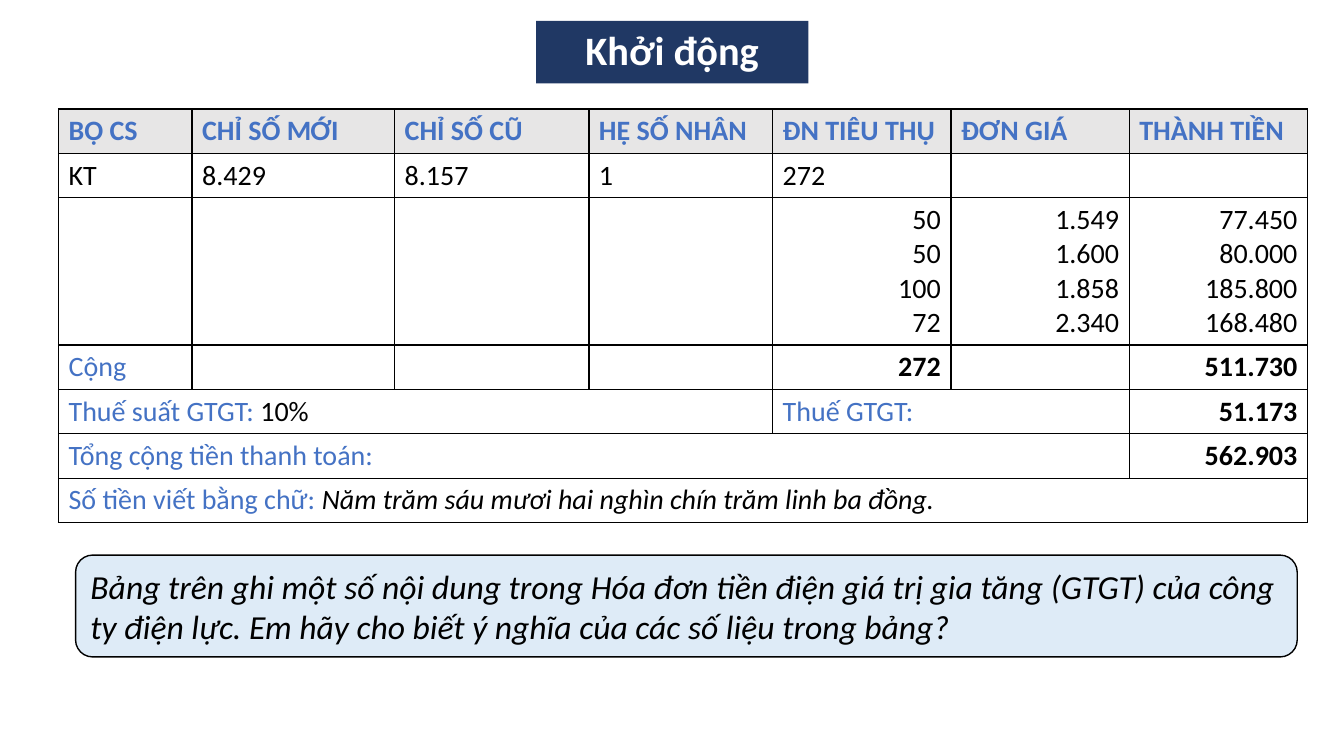
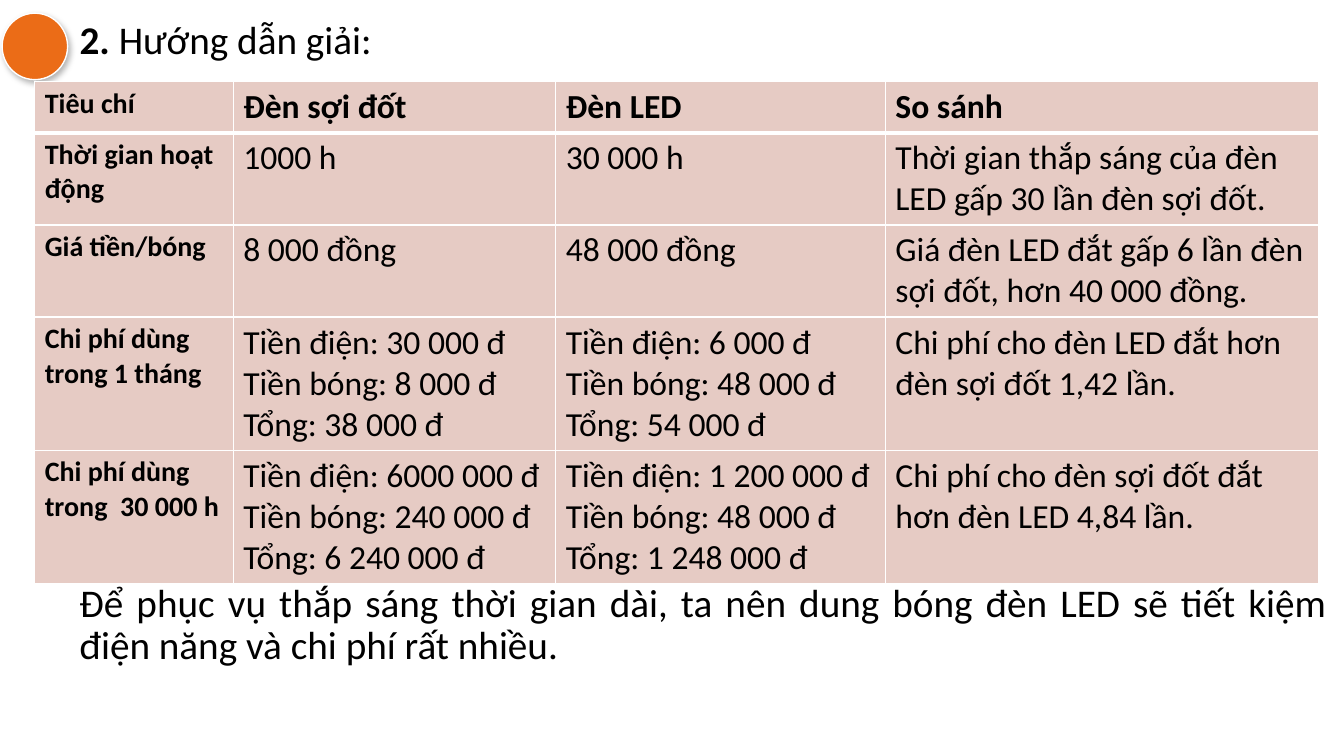
from lxml.etree import SubElement
from pptx import Presentation
from pptx.dml.color import RGBColor
from pptx.enum.shapes import MSO_SHAPE
from pptx.enum.text import MSO_ANCHOR, MSO_AUTO_SIZE, PP_ALIGN
from pptx.oxml import parse_xml
from pptx.oxml.ns import nsdecls, qn
from pptx.util import Pt

# Shared look
FONT = "Calibri"
BLACK, WHITE, BLUE, NAVY = "000000", "FFFFFF", "4472C4", "203864"
GREY, PALE_BLUE, PINK, ORANGE = "E7E6E6", "DEEBF7", "E6CBC4", "EB6C17"
PLAIN = {}
LABEL = dict(color=BLUE)
HEADING = dict(color=BLUE, bold=True)
FIGURES = dict(align=PP_ALIGN.RIGHT)
TOTAL = dict(bold=True, align=PP_ALIGN.RIGHT)
CRITERION = dict(size=20, bold=True)
LAMP = dict(size=24, bold=True)
DETAIL = dict(size=24)

color = RGBColor.from_string


def write(frame, *paragraphs, align=PP_ALIGN.LEFT, spacing=None, **style):
    """Fill a text frame; a paragraph is a string or a list of (text, format) spans."""
    frame.word_wrap = True
    for index, content in enumerate(paragraphs):
        para = frame.add_paragraph() if index else frame.paragraphs[0]
        para.alignment = align
        if spacing:
            para.line_spacing = spacing
        spans = [(content, PLAIN)] if isinstance(content, str) else content
        for text, changes in spans:
            look = dict(size=20, color=BLACK, bold=False, italic=False) | style | changes
            span = para.add_run()
            span.text = text
            span.font.name = FONT
            span.font.size = Pt(look["size"])
            span.font.bold = look["bold"]
            span.font.italic = look["italic"]
            span.font.color.rgb = color(look["color"])


def draw_table(page, left, top, widths, heights, rows, line, header_line, fills):
    """Add a table of (format, paragraph, ...) cells; fills are for header and body."""
    table = page.shapes.add_table(len(rows), len(widths), Pt(left), Pt(top),
                                  Pt(sum(widths)), Pt(sum(heights))).table
    table.first_row = table.horz_banding = False
    for column, width in zip(table.columns, widths):
        column.width = Pt(width)
    for row, height in zip(table.rows, heights):
        row.height = Pt(height)
    for r in range(len(rows)):
        for c in range(len(widths)):
            cell = table.cell(r, c)
            for side in "LRTB":
                under_header = (r, side) in ((0, "B"), (1, "T"))
                border = SubElement(cell._tc.get_or_add_tcPr(), qn(f"a:ln{side}"),
                                    w=str(Pt(header_line if under_header else 1)))
                SubElement(SubElement(border, qn("a:solidFill")), qn("a:srgbClr"), val=line)
            fill = fills[min(r, 1)]
            if fill:
                cell.fill.solid()
                cell.fill.fore_color.rgb = color(fill)
            else:
                cell.fill.background()
            if c < len(rows[r]) and rows[r][c]:
                style, *paragraphs = rows[r][c]
                write(cell.text_frame, *paragraphs, **style)
    return table


deck = Presentation()
deck.slide_width, deck.slide_height = Pt(960), Pt(540)

# Pages with their titles: place, anchor, wording and format
titles = [
    ((383, 15, 194.4, 44.6), MSO_ANCHOR.MIDDLE, "Khởi động",
     dict(size=28.8, color=WHITE, bold=True, align=PP_ALIGN.CENTER)),
    ((49.7, 10.8, 905, 40), MSO_ANCHOR.TOP,
     [("2. ", dict(bold=True)), ("Hướng dẫn giải:", PLAIN)], dict(size=28)),
]
for place, anchor, wording, style in titles:
    page = deck.slides.add_slide(deck.slide_layouts[5])
    title = page.shapes.title
    title.left, title.top, title.width, title.height = map(Pt, place)
    write(title.text_frame, wording, spacing=0.9, **style)
    title.text_frame.auto_size = MSO_AUTO_SIZE.NONE
    title.text_frame.vertical_anchor = anchor
warm_up, solution = deck.slides

# Warm-up: title band
band = warm_up.shapes.title
band.fill.solid()
band.fill.fore_color.rgb = color(NAVY)

# Warm-up: electricity bill
headings = ["BỘ CS", "CHỈ SỐ MỚI", "CHỈ SỐ CŨ", "HỆ SỐ NHÂN",
            "ĐN TIÊU THỤ", "ĐƠN GIÁ", "THÀNH TIỀN"]
bill_rows = [
    [(HEADING, heading) for heading in headings],
    [(PLAIN, value) for value in ("KT", "8.429", "8.157", "1", "272")],
    [None] * 4 + [
        (FIGURES, "50", "50", "100", "72"),
        (FIGURES, "1.549", "1.600", "1.858", "2.340"),
        (FIGURES, "77.450", "80.000", "185.800", "168.480"),
    ],
    [(LABEL, "Cộng"), None, None, None, (TOTAL, "272"), None, (TOTAL, "511.730")],
    [(PLAIN, [("Thuế suất GTGT: ", LABEL), ("10%", PLAIN)]), None, None, None,
     (LABEL, "Thuế GTGT:"), None, (TOTAL, "51.173")],
    [(LABEL, "Tổng cộng tiền thanh toán:")] + [None] * 5 + [(TOTAL, "562.903")],
    [(PLAIN, [("Số tiền viết bằng chữ: ", LABEL),
              ("Năm trăm sáu mươi hai nghìn chín trăm linh ba đồng.", dict(italic=True))])],
]
bill = draw_table(warm_up, 41.8, 77.8, [95.4, 144.7, 138.8, 131.2] + [127.4] * 3,
                  [31.6, 31.6, 105] + [31.6] * 4, bill_rows, BLACK, 1, (GREY, None))
for row, first, last in [(4, 0, 3), (4, 4, 5), (5, 0, 5), (6, 0, 6)]:
    bill.cell(row, first).merge(bill.cell(row, last))

# Warm-up: question
question = warm_up.shapes.add_shape(MSO_SHAPE.ROUNDED_RECTANGLE,
                                    Pt(54), Pt(396.5), Pt(872.6), Pt(72.7))
question.shadow.inherit = False
question.fill.solid()
question.fill.fore_color.rgb = color(PALE_BLUE)
question.line.color.rgb = color(BLACK)
question.line.width = Pt(1)
write(question.text_frame,
      "Bảng trên ghi một số nội dung trong Hóa đơn tiền điện giá trị gia tăng (GTGT) "
      "của công ty điện lực. Em hãy cho biết ý nghĩa của các số liệu trong bảng?",
      size=24, italic=True)

# Solution: round marker with a soft shadow
marker = solution.shapes.add_shape(MSO_SHAPE.OVAL, Pt(1.5), Pt(9.4), Pt(46.8), Pt(47.5))
marker.fill.solid()
marker.fill.fore_color.rgb = color(ORANGE)
marker.line.color.rgb = color(WHITE)
marker.line.width = Pt(1)
marker._element.spPr.append(parse_xml(
    f'<a:effectLst {nsdecls("a")}><a:outerShdw blurRad="{Pt(4.5)}" dist="{Pt(2.6)}" '
    f'dir="{53 * 60000}"><a:srgbClr val="{BLACK}"><a:alpha val="30000"/></a:srgbClr>'
    '</a:outerShdw></a:effectLst>'))

# Solution: comparison of the lamps
comparison = [
    ("Thời gian hoạt động", ["1000 h"], ["30 000 h"],
     "Thời gian thắp sáng của đèn LED gấp 30 lần đèn sợi đốt."),
    ("Giá tiền/bóng", ["8 000 đồng"], ["48 000 đồng"],
     "Giá đèn LED đắt gấp 6 lần đèn sợi đốt, hơn 40 000 đồng."),
    ("Chi phí dùng trong 1 tháng",
     ["Tiền điện: 30 000 đ", "Tiền bóng: 8 000 đ", "Tổng: 38 000 đ"],
     ["Tiền điện: 6 000 đ", "Tiền bóng: 48 000 đ", "Tổng: 54 000 đ"],
     "Chi phí cho đèn LED đắt hơn đèn sợi đốt 1,42 lần."),
    ("Chi phí dùng trong  30 000 h",
     ["Tiền điện: 6000 000 đ", "Tiền bóng: 240 000 đ", "Tổng: 6 240 000 đ"],
     ["Tiền điện: 1 200 000 đ", "Tiền bóng: 48 000 đ", "Tổng: 1 248 000 đ"],
     "Chi phí cho đèn sợi đốt đắt hơn đèn LED 4,84 lần."),
]
lamp_rows = [[(CRITERION, "Tiêu chí")]
             + [(LAMP, name) for name in ("Đèn sợi đốt", "Đèn LED", "So sánh")]]
for criterion, filament, led, verdict in comparison:
    lamp_rows.append([(CRITERION, criterion), (DETAIL, *filament),
                      (DETAIL, *led), (DETAIL, verdict)])
draw_table(solution, 24.8, 58.4, [141.8, 230.4, 235.4, 309.6], [36, 65, 65, 93.6, 93.6],
           lamp_rows, WHITE, 3, (PINK, PINK))

# Solution: conclusion
conclusion = solution.shapes.add_textbox(Pt(49.7), Pt(413), Pt(905), Pt(72))
write(conclusion.text_frame,
      "Để phục vụ thắp sáng thời gian dài, ta nên dung bóng đèn LED sẽ tiết kiệm "
      "điện năng và chi phí rất nhiều.",
      size=28, align=PP_ALIGN.JUSTIFY, spacing=0.9)

deck.save("out.pptx")
